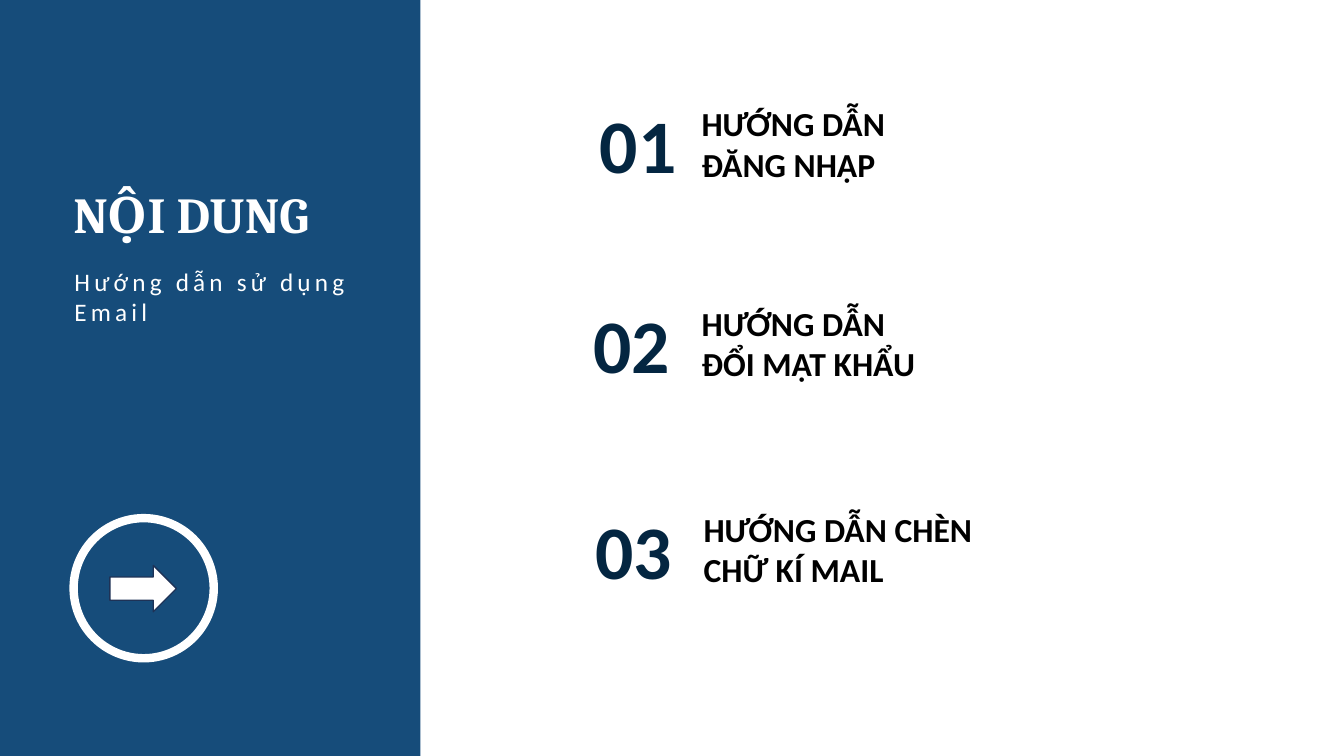
from pptx import Presentation
from pptx.dml.color import RGBColor
from pptx.enum.shapes import MSO_SHAPE as Shape
from pptx.enum.text import MSO_ANCHOR as Anchor
from pptx.util import Inches, Pt

WHITE, BLACK, BLUE, NAVY, EDGE = "FFFFFF", "000000", "164C7A", "042641", "1E3256"


def add_text(text, area, color, anchor=Anchor.MIDDLE, **font_format):
    box = page.shapes.add_textbox(*map(Inches, area))
    frame = box.text_frame
    frame.word_wrap = True
    frame.vertical_anchor = anchor
    span = frame.paragraphs[0].add_run()
    span.text = text
    for name, value in font_format.items():
        setattr(span.font, name, value)
    span.font.color.rgb = RGBColor.from_string(color)
    return span


def add_figure(kind, area, fill=None, line=None, width=0):
    shape = page.shapes.add_shape(kind, *map(Inches, area))
    shape.shadow.inherit = False
    for part, color in ((shape.fill, fill), (shape.line.fill, line)):
        if color:
            part.solid()
            part.fore_color.rgb = RGBColor.from_string(color)
        else:
            part.background()
    if line:
        shape.line.width = Pt(width)


deck = Presentation()
deck.slide_width, deck.slide_height = Inches(13.33), Inches(7.5)
page = deck.slides.add_slide(deck.slide_layouts[6])

# Side panel with title and subtitle
add_figure(Shape.RECTANGLE, (0, 0, 4.17, 7.5), fill=BLUE)
add_text("NỘI DUNG", (0.63, 1.77, 2.84, 0.71), WHITE, Anchor.TOP,
         name="Cambria", size=Pt(36), bold=True)
subtitle = add_text("Hướng dẫn sử dụng Email", (0.64, 2.59, 3.24, 0.71), WHITE,
                    Anchor.TOP, name="Calibri", size=Pt(18))
subtitle.font._element.set("spc", "300")  # letter spacing of 3 pt

# Arrow in a ring
add_figure(Shape.OVAL, (0.73, 5.14, 1.39, 1.39), line=WHITE, width=6)
add_figure(Shape.RIGHT_ARROW, (1.09, 5.61, 0.66, 0.46), fill=WHITE, line=EDGE, width=1)

# Numbered contents: heading, number left, heading left, top, heading width
contents = [
    ("HƯỚNG DẪN ĐĂNG NHẬP", 5.85, 6.86, 0.92, 2.7),
    ("HƯỚNG DẪN ĐỔI MẬT KHẨU", 5.79, 6.86, 2.9, 2.59),
    ("HƯỚNG DẪN CHÈN CHỮ KÍ MAIL", 5.81, 6.88, 4.94, 3.2),
]
for number, (heading, number_left, left, top, width) in enumerate(contents, 1):
    add_text(heading, (left, top + 0.05, width, 0.91), BLACK,
             name="Calibri", size=Pt(24), bold=True)
    add_text(f"{number:02}", (number_left, top, 1.29, 1.01), NAVY,
             name="Calibri", size=Pt(54), bold=True)

deck.save("out.pptx")
